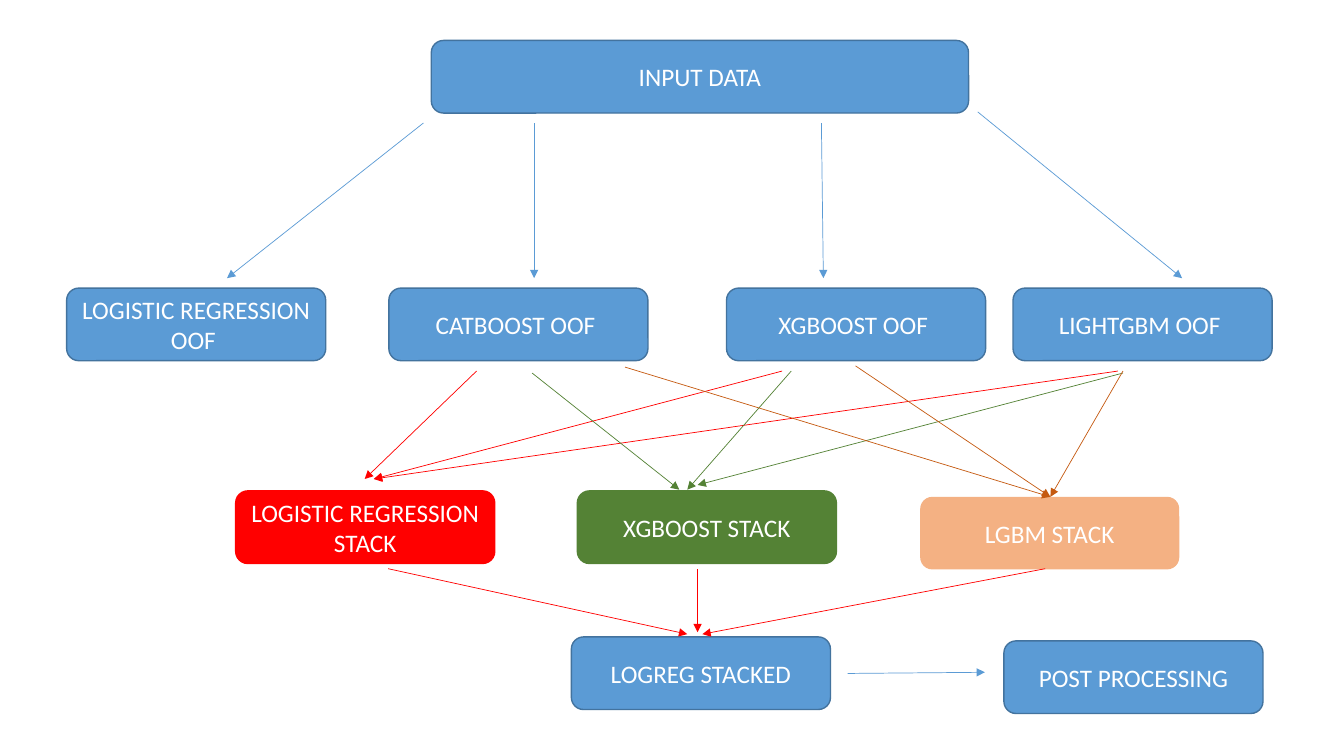
from dataclasses import dataclass
from typing import Optional

from lxml.etree import SubElement
from pptx import Presentation
from pptx.dml.color import RGBColor
from pptx.enum.shapes import MSO_CONNECTOR as Connector, MSO_SHAPE as Shape
from pptx.enum.text import MSO_ANCHOR as Anchor, PP_ALIGN as Align
from pptx.oxml.ns import qn
from pptx.util import Cm, Pt

COLORS = {
    "blue": "5B9BD5",
    "navy": "43739E",
    "red": "FF0000",
    "green": "548235",
    "peach": "F4B183",
    "rust": "C55A11",
    "white": "FFFFFF",
}
STEP_WIDTH, STEP_HEIGHT = 6.53, 1.83
OOF_TOP, STACK_TOP = 7.26, 12.37


@dataclass(frozen=True)
class Step:
    """A box of the pipeline, in centimetres."""
    label: str
    left: float
    top: float
    fill: str = "blue"
    border: Optional[str] = "navy"
    width: float = STEP_WIDTH


@dataclass(frozen=True)
class Flow:
    """An arrow between two points, in centimetres."""
    start: tuple[float, float]
    end: tuple[float, float]
    color: str = "blue"


def rgb(name: str) -> RGBColor:
    return RGBColor.from_string(COLORS[name])


def write(frame, text: str, *, size: float = 18, color: str = "white",
          font: str = "Calibri", align=Align.CENTER, anchor=Anchor.MIDDLE) -> None:
    frame.word_wrap = True
    frame.vertical_anchor = anchor
    paragraph = frame.paragraphs[0]
    paragraph.alignment = align
    run = paragraph.add_run()
    run.text = text
    run.font.name = font
    run.font.size = Pt(size)
    run.font.color.rgb = rgb(color)


def draw_step(slide, step: Step) -> None:
    box = slide.shapes.add_shape(Shape.ROUNDED_RECTANGLE, Cm(step.left), Cm(step.top),
                                 Cm(step.width), Cm(STEP_HEIGHT))
    box.shadow.inherit = False
    box.fill.solid()
    box.fill.fore_color.rgb = rgb(step.fill)
    if step.border:
        box.line.color.rgb = rgb(step.border)
        box.line.width = Pt(1)
    else:
        box.line.fill.background()
    write(box.text_frame, step.label)


def draw_flow(slide, flow: Flow) -> None:
    arrow = slide.shapes.add_connector(Connector.STRAIGHT,
                                       *map(Cm, flow.start), *map(Cm, flow.end))
    arrow.line.color.rgb = rgb(flow.color)
    arrow.line.width = Pt(0.5)
    SubElement(arrow.line._get_or_add_ln(), qn("a:tailEnd"), type="triangle")
    SubElement(arrow._element.spPr, qn("a:effectLst"))


STEPS = [
    Step("INPUT DATA", 10.87, 1.02, width=13.54),
    # Out-of-fold models
    Step("LOGISTIC REGRESSION OOF ", 1.68, OOF_TOP),
    Step("CATBOOST OOF ", 9.8, OOF_TOP),
    Step("XGBOOST OOF ", 18.31, OOF_TOP),
    Step("LIGHTGBM OOF ", 25.53, OOF_TOP),
    # Stacked models
    Step("LOGISTIC REGRESSION STACK", 5.94, STACK_TOP, "red", "red"),
    Step("XGBOOST STACK", 14.55, STACK_TOP, "green", "green"),
    Step("LGBM STACK", 23.19, 12.52, "peach", None),
    # Final steps
    Step("LOGREG STACKED", 14.4, 16.05),
    Step("POST PROCESSING", 25.3, 16.15),
]

FLOWS = [
    # Input data to out-of-fold models
    Flow((10.67, 3.1), (5.72, 7.01)),
    Flow((13.46, 3.1), (13.46, 7.01)),
    Flow((20.7, 3.1), (20.75, 7.01)),
    Flow((24.64, 2.82), (29.79, 7.01)),
    # Into the logistic regression stack
    Flow((12.01, 9.35), (9.19, 12.07), "red"),
    Flow((19.71, 9.35), (9.42, 12.07), "red"),
    Flow((28.17, 9.35), (9.42, 12.07), "red"),
    # Into the XGBoost stack
    Flow((13.41, 9.4), (17.12, 12.34), "green"),
    Flow((19.94, 9.35), (17.32, 12.34), "green"),
    Flow((28.3, 9.4), (17.58, 12.22), "green"),
    # Into the LGBM stack
    Flow((15.75, 9.25), (26.47, 12.52), "rust"),
    Flow((21.56, 9.22), (26.47, 12.52), "rust"),
    Flow((28.3, 9.35), (26.47, 12.52), "rust"),
    # Stacks to the final model, then post processing
    Flow((9.78, 14.33), (17.32, 15.98), "red"),
    Flow((17.58, 14.35), (17.58, 15.93), "red"),
    Flow((26.34, 14.33), (17.7, 15.98), "red"),
    Flow((21.36, 16.97), (24.82, 16.94)),
]

deck = Presentation()
deck.slide_width, deck.slide_height = Cm(33.87), Cm(19.05)
pipeline = deck.slides.add_slide(deck.slide_layouts[6])

for step in STEPS:
    draw_step(pipeline, step)
for flow in FLOWS:
    draw_flow(pipeline, flow)

deck.save("out.pptx")
